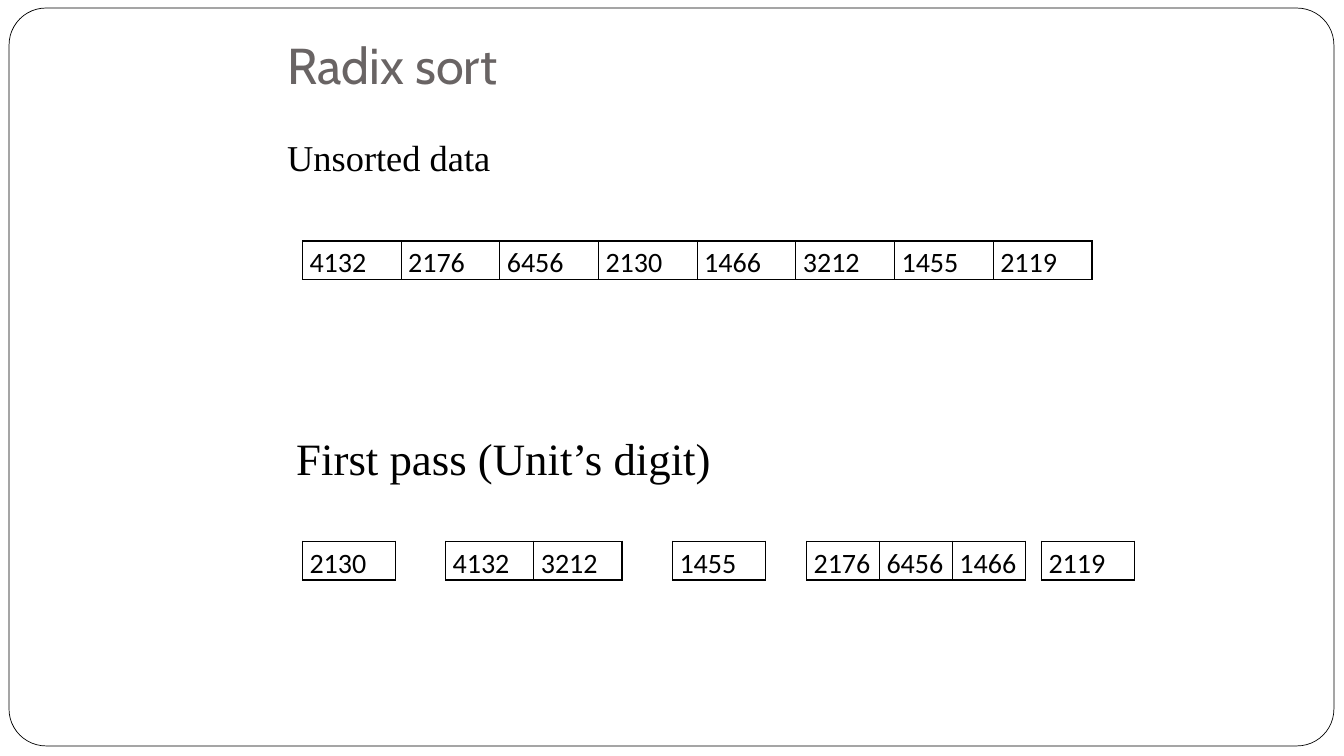
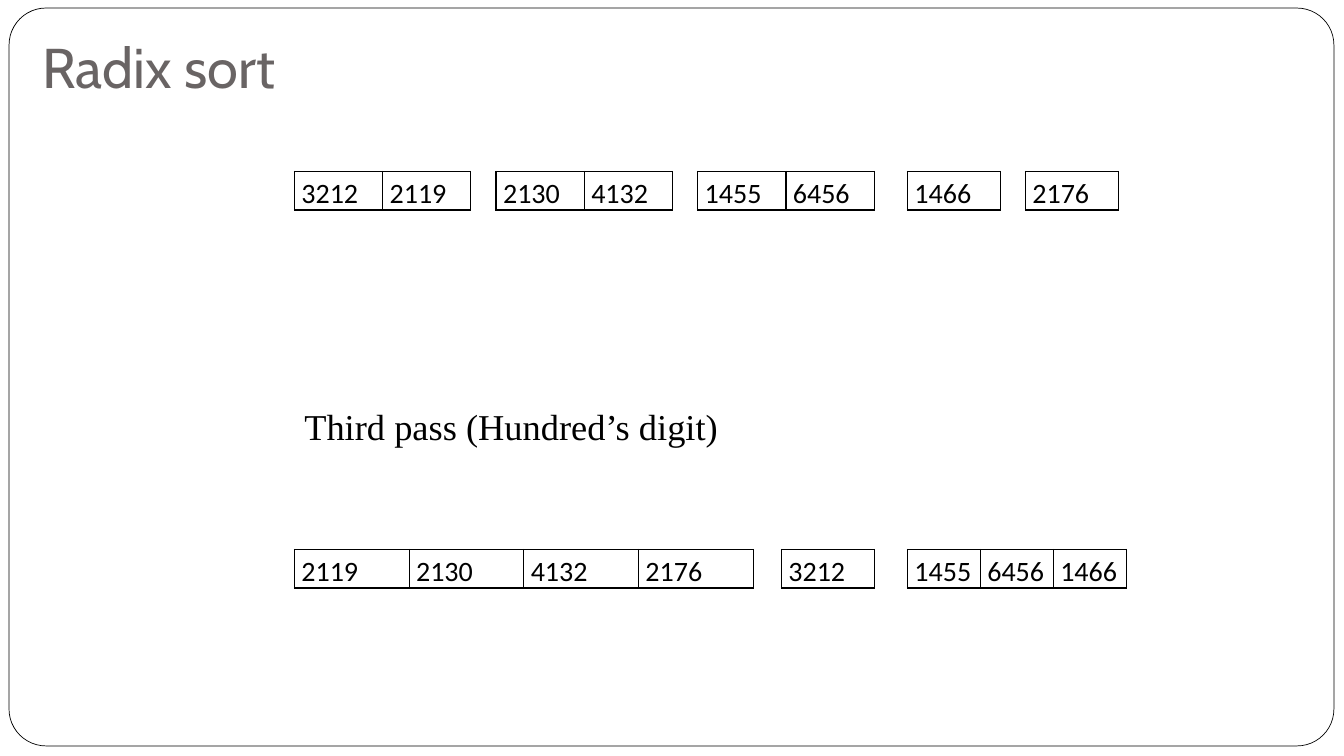
"""Build two radix sort slides with tables of digit groups."""
from lxml.etree import SubElement
from pptx import Presentation
from pptx.dml.color import RGBColor
from pptx.enum.shapes import MSO_SHAPE
from pptx.enum.text import MSO_ANCHOR
from pptx.oxml.ns import qn
from pptx.util import Pt

PX = 9144
COLORS = {"ink": "000000", "title": "696464", "paper": "FFFFFF"}
SERIF = "Times New Roman"
CELL = {"name": "Calibri", "size": Pt(20)}
WIDTHS = {1: 92, 2: 175, 3: 217, 4: 455, 8: 783}
ROW = 38
FRAME = (9, 8, 1314, 732)

SLIDES = [
    {
        "title": ((275, 42, 820, 62), 36),
        "labels": [
            ("Unsorted data", (275, 129, 892, 63), 26),
            ("First pass (Unit’s digit)", (284, 422, 883, 87), 32),
        ],
        "rows": [
            (239, [(300, "4132 2176 6456 2130 1466 3212 1455 2119")]),
            (537, [(300, "2130"), (442, "4132 3212"), (667, "1455"),
                   (800, "2176 6456 1466"), (1033, "2119")]),
        ],
    },
    {
        "title": ((32, 9, 1133, 100), 40),
        "labels": [("Third pass (Hundred’s digit)", (292, 396, 820, 71), 26)],
        "rows": [
            (170, [(292, "3212 2119"), (492, "2130 4132"), (692, "1455 6456"),
                   (900, "1466"), (1017, "2176")]),
            (545, [(292, "2119 2130 4132 2176"), (775, "3212"),
                   (900, "1455 6456 1466")]),
        ],
    },
]


def rgb(name):
    return RGBColor.from_string(COLORS[name])


def scale(box):
    return [n * PX for n in box]


def apply(obj, form):
    for key, val in form.items():
        setattr(obj, key, val)


def style(para, form, color):
    apply(para.font, form)
    para.font.color.rgb = rgb(color)


def add_frame(slide):
    frame = slide.shapes.add_shape(MSO_SHAPE.ROUNDED_RECTANGLE, *scale(FRAME))
    frame.adjustments[0] = 0.05
    frame.shadow.inherit = False
    frame.fill.solid()
    frame.fill.fore_color.rgb = rgb("paper")
    frame.line.color.rgb = rgb("ink")
    frame.line.width = Pt(0.5)


def add_text(slide, text, box, form, color, anchor=MSO_ANCHOR.TOP, base=5):
    frame = slide.shapes.add_textbox(*scale(box)).text_frame
    apply(frame, {"word_wrap": True, "vertical_anchor": anchor,
                  "margin_bottom": base * PX})
    para = frame.paragraphs[0]
    para.text = text
    style(para, form, color)


def add_edges(cell):
    props = cell._tc.get_or_add_tcPr()
    for index, side in enumerate(("lnL", "lnR", "lnT", "lnB")):
        line = props.makeelement(qn("a:" + side), {"w": str(Pt(1))})
        fill = SubElement(line, qn("a:solidFill"))
        SubElement(fill, qn("a:srgbClr"), val=COLORS["ink"])
        props.insert(index, line)


def add_group(slide, left, top, text):
    items = text.split()
    box = scale((left, top, WIDTHS[len(items)], ROW))
    table = slide.shapes.add_table(1, len(items), *box).table
    apply(table, {"first_row": False, "horz_banding": False})
    for col, item in enumerate(items):
        table.columns[col].width = box[2] // len(items)
        cell = table.cell(0, col)
        apply(cell, {"text": item, "margin_left": 7 * PX, "margin_right": 7 * PX,
                     "margin_top": 0, "margin_bottom": 0})
        cell.fill.background()
        para = cell.text_frame.paragraphs[0]
        para.line_spacing = 1.15
        style(para, CELL, "ink")
        add_edges(cell)


def main():
    deck = Presentation()
    apply(deck, {"slide_width": 1333 * PX, "slide_height": 750 * PX})
    for data in SLIDES:
        slide = deck.slides.add_slide(deck.slide_layouts[6])
        add_frame(slide)
        box, size = data["title"]
        add_text(slide, "Radix sort", box, {"name": "Cabin", "size": Pt(size)},
                 "title", MSO_ANCHOR.BOTTOM, 10)
        for text, box, size in data["labels"]:
            add_text(slide, text, box, {"name": SERIF, "size": Pt(size)}, "ink")
        for top, groups in data["rows"]:
            for left, text in groups:
                add_group(slide, left, top, text)
    deck.save("out.pptx")


if __name__ == "__main__":
    main()
